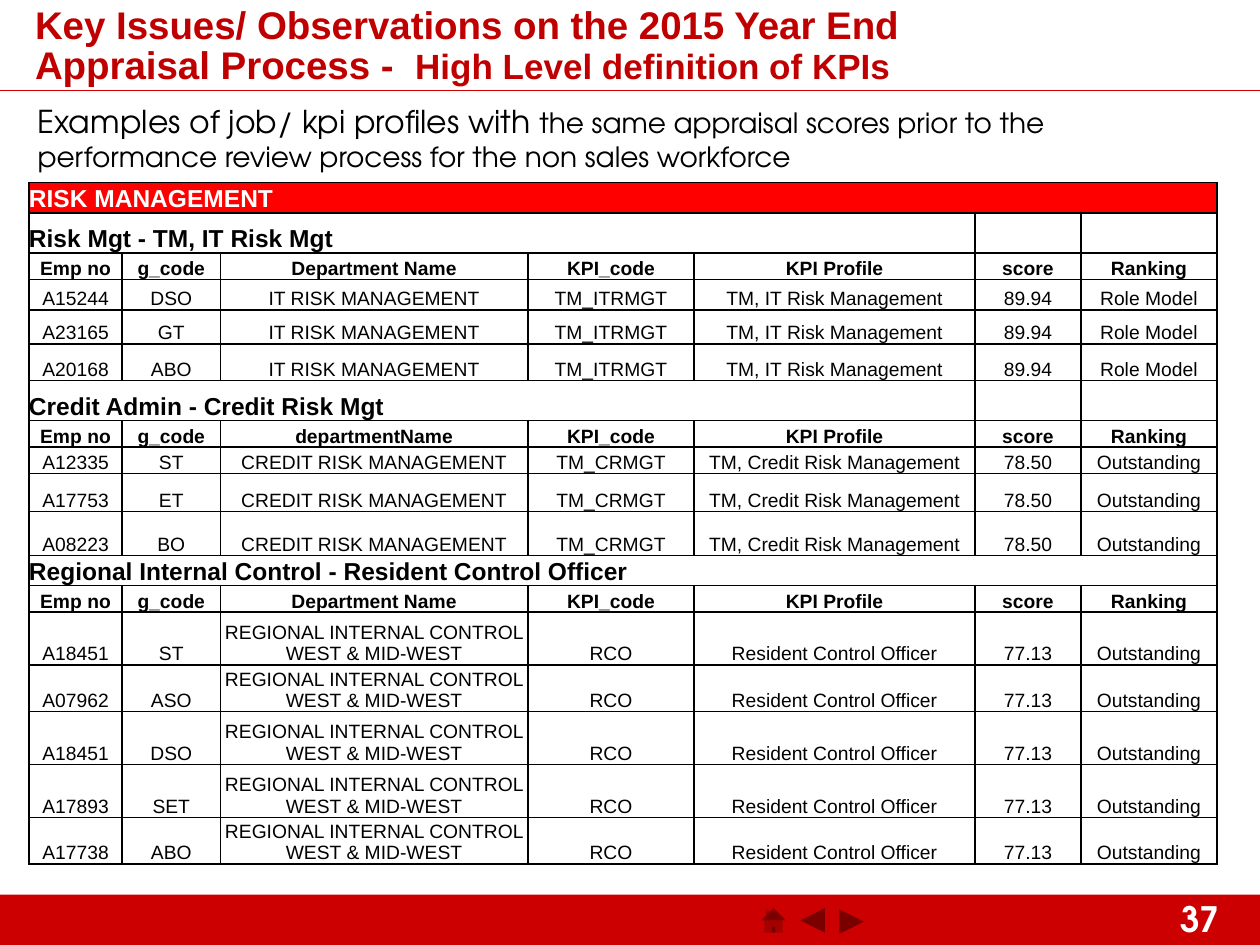
import pptx
import pptx.util
import pptx.dml.color
import pptx.enum.shapes
import pptx.enum.text
import pptx.oxml
import pptx.oxml.ns

Inches = pptx.util.Inches
Pt = pptx.util.Pt
RGBColor = pptx.dml.color.RGBColor
MSO_SHAPE = pptx.enum.shapes.MSO_SHAPE
MSO_ANCHOR = pptx.enum.text.MSO_ANCHOR
PP_ALIGN = pptx.enum.text.PP_ALIGN

BLACK = RGBColor(0x00, 0x00, 0x00)
WHITE = RGBColor(0xFF, 0xFF, 0xFF)
BAND_RED = RGBColor(0xFF, 0x00, 0x00)
FOOTER_RED = RGBColor(0xCC, 0x00, 0x00)
HEADING_RED = RGBColor(0xC0, 0x00, 0x00)
SANS = "Arial"
ROUND = "TeX Gyre Adventor"
NAMESPACE = pptx.oxml.ns.nsdecls("a")


def add_run(paragraph, text, size, font, color, bold=False):
    run = paragraph.add_run()
    run.text = text
    run.font.size = Pt(size)
    run.font.name = font
    run.font.color.rgb = color
    run.font.bold = bold


def add_textbox(left, top, width, height, anchor=MSO_ANCHOR.TOP):
    frame = slide.shapes.add_textbox(
        Inches(left), Inches(top), Inches(width), Inches(height)).text_frame
    frame.word_wrap = True
    frame.vertical_anchor = anchor
    return frame.paragraphs[0]


presentation = pptx.Presentation()
presentation.slide_width = Inches(10)
presentation.slide_height = Inches(7.5)
slide = presentation.slides.add_slide(presentation.slide_layouts[6])

footer_parts = [
    (MSO_SHAPE.RECTANGLE, 0, 7.1, 10, 0.4),
    (MSO_SHAPE.ACTION_BUTTON_BACK_OR_PREVIOUS, 6.63, 7.15, 0.26, 0.33),
    (MSO_SHAPE.ACTION_BUTTON_FORWARD_OR_NEXT, 6.32, 7.14, 0.26, 0.33),
    (MSO_SHAPE.ACTION_BUTTON_CUSTOM, 6.96, 7.15, 0.26, 0.33),
    (MSO_SHAPE.ACTION_BUTTON_HOME, 6.01, 7.14, 0.26, 0.33),
]
for preset, left, top, width, height in footer_parts:
    part = slide.shapes.add_shape(
        preset, Inches(left), Inches(top), Inches(width), Inches(height))
    part.shadow.inherit = False
    part.fill.solid()
    part.fill.fore_color.rgb = FOOTER_RED
    part.line.fill.background()
    if preset != MSO_SHAPE.RECTANGLE:
        part.element.spPr.find(pptx.oxml.ns.qn("a:xfrm")).set("flipH", "1")

page_number = add_textbox(9.27, 7.07, 0.73, 0.43)
add_run(page_number, "37", 20, ROUND, WHITE, True)

heading_rule = slide.shapes.add_connector(
    pptx.enum.shapes.MSO_CONNECTOR.STRAIGHT,
    Inches(0), Inches(0.72), Inches(10), Inches(0.72))
heading_rule.line.color.rgb = FOOTER_RED
heading_rule.line.width = Pt(0.75)
heading_rule.element.spPr.append(pptx.oxml.parse_xml(f"<a:effectLst {NAMESPACE}/>"))

sections = [
    ("Risk Mgt - TM, IT Risk Mgt", 5, "Department Name",
     ["IT RISK MANAGEMENT", "TM_ITRMGT", "TM, IT Risk Management", "89.94", "Role Model"],
     [("A15244", "DSO"), ("A23165", "GT"), ("A20168", "ABO")]),
    ("Credit Admin - Credit Risk Mgt", 5, "departmentName",
     ["CREDIT RISK MANAGEMENT", "TM_CRMGT", "TM, Credit Risk Management", "78.50", "Outstanding"],
     [("A12335", "ST"), ("A17753", "ET"), ("A08223", "BO")]),
    ("Regional Internal Control - Resident Control Officer", 7, "Department Name",
     ["REGIONAL INTERNAL CONTROL WEST & MID-WEST", "RCO", "Resident Control Officer",
      "77.13", "Outstanding"],
     [("A18451", "ST"), ("A07962", "ASO"), ("A18451", "DSO"), ("A17893", "SET"),
      ("A17738", "ABO")]),
]
rows = [("band", ["RISK MANAGEMENT"], 7)]
for section, span, department, profile, employees in sections:
    rows.append(("section", [section], span))
    rows.append(("header", ["Emp no", "g_code", department, "KPI_code", "KPI Profile",
                            "score", "Ranking"], 1))
    for employee in employees:
        rows.append(("employee", [*employee, *profile], 1))

row_styles = {
    "band": (14, WHITE, True, PP_ALIGN.LEFT, BAND_RED),
    "section": (14, BLACK, True, PP_ALIGN.LEFT, None),
    "header": (11, BLACK, True, PP_ALIGN.CENTER, WHITE),
    "employee": (11, BLACK, False, PP_ALIGN.CENTER, None),
}
column_widths = [0.74, 0.78, 2.44, 1.32, 2.23, 0.84, 1.08]
row_heights = [0.24, 0.32, 0.21, 0.24, 0.27, 0.29, 0.32, 0.21, 0.21, 0.3, 0.35,
               0.24, 0.21, 0.42, 0.37, 0.42, 0.42, 0.37]

scores = slide.shapes.add_table(
    len(rows), len(column_widths),
    Inches(0.23), Inches(1.45), Inches(9.45), Inches(5.41)).table
scores.first_row = False
scores.horz_banding = False
for column, width in zip(scores.columns, column_widths):
    column.width = Inches(width)

for row_index, (kind, texts, span) in enumerate(rows):
    size, color, bold, alignment, fill = row_styles[kind]
    scores.rows[row_index].height = Inches(row_heights[row_index])
    if span > 1:
        scores.cell(row_index, 0).merge(scores.cell(row_index, span - 1))
    for column_index in range(len(column_widths)):
        cell = scores.cell(row_index, column_index)
        cell.margin_left = cell.margin_right = cell.margin_top = cell.margin_bottom = 0
        cell.vertical_anchor = MSO_ANCHOR.BOTTOM
        properties = cell._tc.get_or_add_tcPr()
        for side in ("lnL", "lnR", "lnT", "lnB"):
            properties.append(pptx.oxml.parse_xml(
                f'<a:{side} {NAMESPACE} w="12700"><a:solidFill>'
                f'<a:srgbClr val="{BLACK}"/></a:solidFill></a:{side}>'))
        if fill is None:
            cell.fill.background()
        else:
            cell.fill.solid()
            cell.fill.fore_color.rgb = fill
        if column_index < len(texts):
            paragraph = cell.text_frame.paragraphs[0]
            paragraph.alignment = alignment
            add_run(paragraph, texts[column_index], size, SANS, color, bold)

subtitle = add_textbox(0.2, 0.76, 8.9, 0.63)
add_run(subtitle, "Examples of job/ kpi profiles with ", 18, ROUND, BLACK)
add_run(subtitle, "the same appraisal scores prior to the performance review process "
        "for the non sales workforce", 16, ROUND, BLACK)

heading = add_textbox(0.18, 0.08, 7.9, 0.6, MSO_ANCHOR.MIDDLE)
heading.line_spacing = 0.85
add_run(heading, "Key Issues/ Observations on the 2015 Year End Appraisal Process -  ",
        22, SANS, HEADING_RED, True)
add_run(heading, "High Level definition of KPIs", 20, SANS, HEADING_RED, True)

presentation.save("out.pptx")
